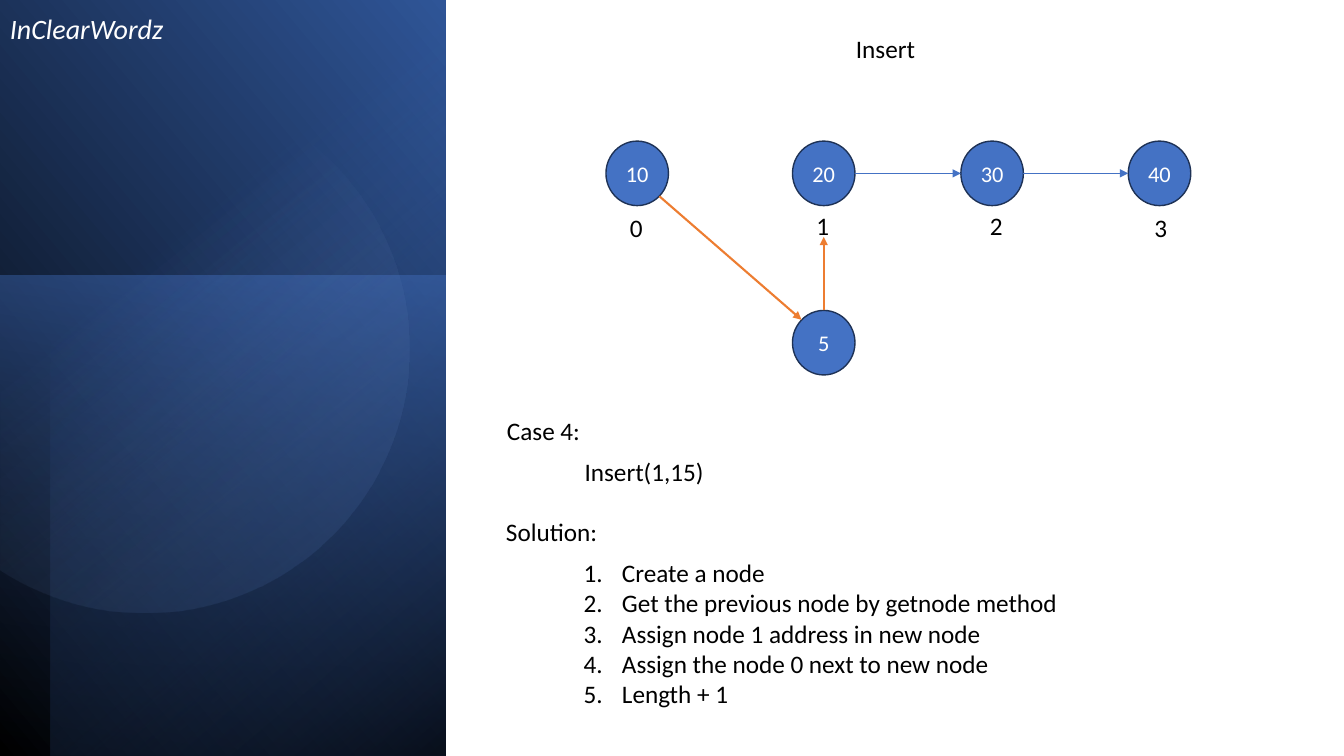
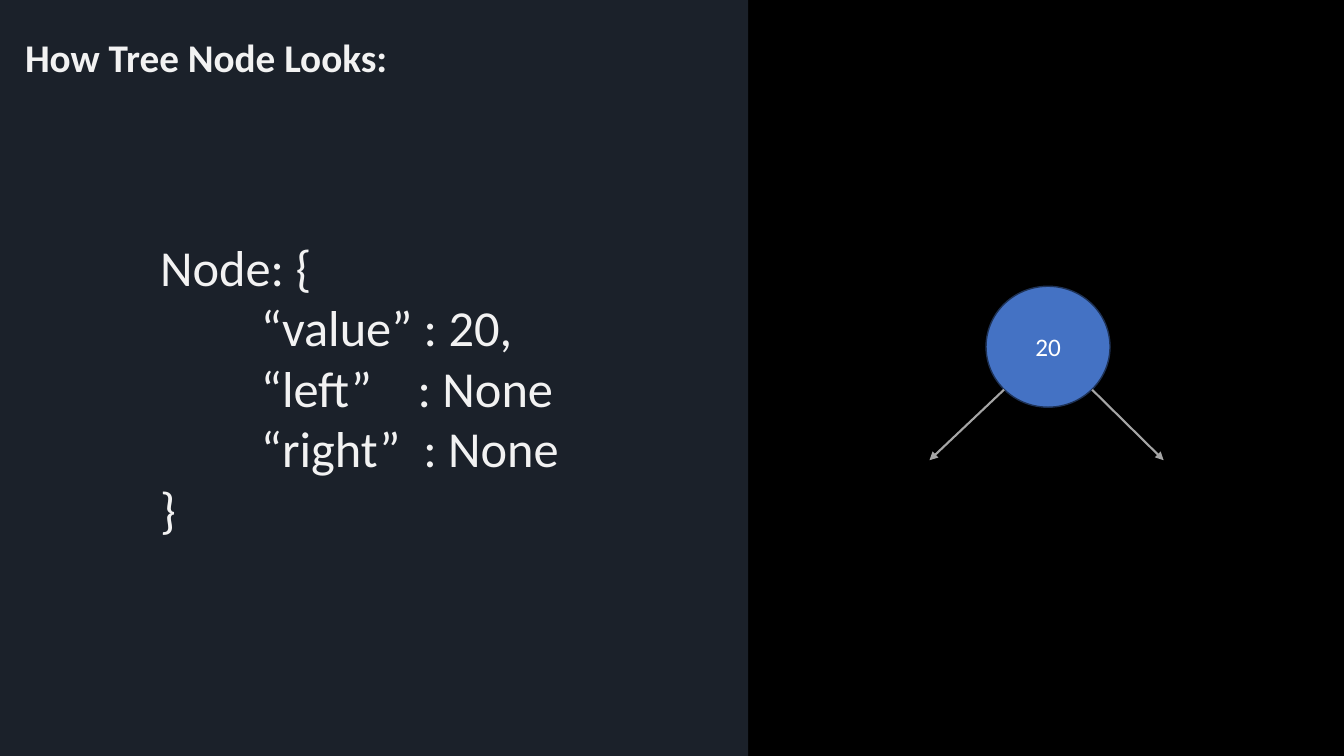
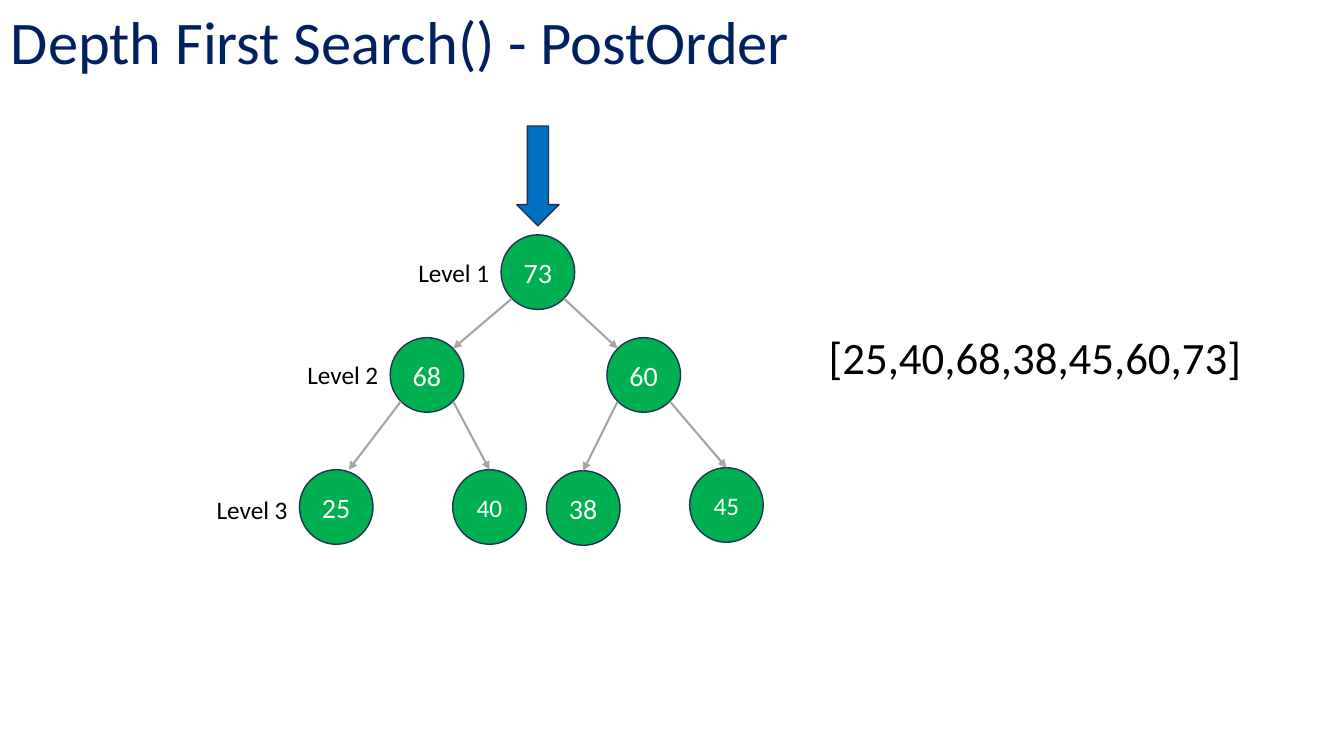
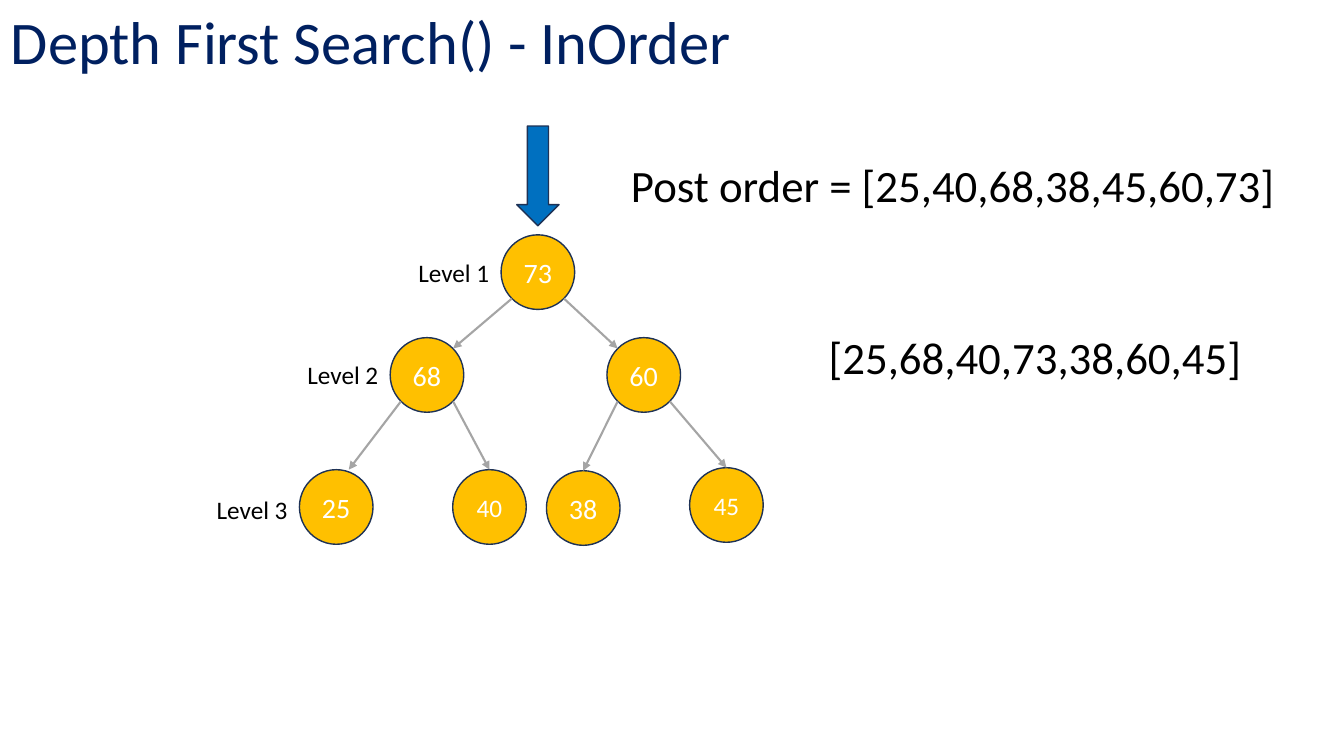
from math import acos, cos, radians, sin

from pptx import Presentation
from pptx.dml.color import RGBColor
from pptx.enum.shapes import MSO_CONNECTOR, MSO_SHAPE
from pptx.enum.text import MSO_ANCHOR, PP_ALIGN
from pptx.oxml.ns import qn
from pptx.util import Inches, Pt
from lxml.etree import SubElement

RECT, ELLIPSE, DOWN_ARROW = MSO_SHAPE.RECTANGLE, MSO_SHAPE.OVAL, MSO_SHAPE.DOWN_ARROW
STRAIGHT = MSO_CONNECTOR.STRAIGHT
TOP, MIDDLE, BOTTOM = MSO_ANCHOR.TOP, MSO_ANCHOR.MIDDLE, MSO_ANCHOR.BOTTOM
CENTER = PP_ALIGN.CENTER

FONT = "Calibri"
WIDTH, HEIGHT = 13.33, 7.5
BLACK, WHITE, OFF_WHITE = "000000", "FFFFFF", "F2F2F2"
BLUE, DEEP_BLUE, OUTLINE = "4472C4", "2F5597", "1E3256"
NAVY, ARROW_BLUE, SLATE = "002060", "0070C0", "44546A"
ORANGE, GRAY, GREEN, AMBER = "ED7D31", "A5A5A5", "00B050", "FFC000"

# Points on an ellipse, as shares of its half width and half height
ON_TOP, ON_LEFT, ON_RIGHT = (0, -1), (-1, 0), (1, 0)
UPPER_LEFT, UPPER_RIGHT = (-0.71, -0.71), (0.71, -0.71)
LOWER_LEFT, LOWER_RIGHT = (-0.71, 0.71), (0.71, 0.71)


def rgb(hex_color):
    return RGBColor.from_string(hex_color)


def set_alphas(shape, percents):
    """Give the fill colours of a shape their opacities, in order."""
    colors = shape._element.spPr.iter(qn("a:srgbClr"))
    for color, percent in zip(colors, percents):
        SubElement(color, qn("a:alpha")).set("val", str(percent * 1000))


def fill_gradient(shape, stops, clockwise):
    """Fill with two (position, colour, opacity) stops and no outline."""
    shape.shadow.inherit = False
    shape.fill.gradient()
    shape.fill.gradient_angle = 360 - clockwise
    for stop, (position, color, _) in zip(shape.fill.gradient_stops, stops):
        stop.position = position / 100
        stop.color.rgb = rgb(color)
    set_alphas(shape, [opacity for _, _, opacity in stops])
    shape.line.fill.background()


def add_solid(slide, kind, box, color, outline=None):
    shape = slide.shapes.add_shape(kind, *map(Inches, box))
    shape.shadow.inherit = False
    shape.fill.solid()
    shape.fill.fore_color.rgb = rgb(color)
    if outline:
        shape.line.color.rgb = rgb(outline)
        shape.line.width = Pt(1)
    else:
        shape.line.fill.background()
    return shape


def style_run(paragraph, text, size, color, bold=False, italic=False):
    run = paragraph.add_run()
    run.text = text
    font = run.font
    font.name, font.size, font.bold, font.italic = FONT, Pt(size), bold, italic
    font.color.rgb = rgb(color)


def add_text(slide, box, lines, size=18, color=BLACK, anchor=TOP,
             spacing=None, numbered=False, tab=None, **emphasis):
    frame = slide.shapes.add_textbox(*map(Inches, box)).text_frame
    frame.word_wrap = True
    frame.vertical_anchor = anchor
    for index, line in enumerate(lines):
        paragraph = frame.add_paragraph() if index else frame.paragraphs[0]
        properties = paragraph._p.get_or_add_pPr()
        if numbered:
            properties.set("marL", str(Inches(0.38)))
            properties.set("indent", str(Inches(-0.38)))
            SubElement(properties, qn("a:buFont")).set("typeface", "+mj-lt")
            SubElement(properties, qn("a:buAutoNum")).set("type", "arabicPeriod")
        if tab:
            stop = SubElement(SubElement(properties, qn("a:tabLst")), qn("a:tab"))
            stop.set("pos", str(Inches(tab)))
            stop.set("algn", "l")
        if spacing:
            paragraph.line_spacing = spacing
        style_run(paragraph, line, size, color, **emphasis)


def add_node(slide, box, value, size, color=BLUE):
    node = add_solid(slide, ELLIPSE, box, color, OUTLINE)
    node.text_frame.vertical_anchor = MIDDLE
    paragraph = node.text_frame.paragraphs[0]
    paragraph.alignment = CENTER
    style_run(paragraph, value, size, WHITE)


def site(box, share):
    """Point of a box, given as shares of its half width and half height."""
    left, top, width, height = box
    return left + width / 2 * (1 + share[0]), top + height / 2 * (1 + share[1])


def add_arrow(slide, start, end, color=GRAY, width=1.5):
    arrow = slide.shapes.add_connector(STRAIGHT, *map(Inches, (*start, *end)))
    arrow.line.color.rgb = rgb(color)
    arrow.line.width = Pt(width)
    SubElement(arrow.line._get_or_add_ln(), qn("a:tailEnd")).set("type", "triangle")
    SubElement(arrow._element.spPr, qn("a:effectLst"))


def add_turned_tile(slide, box, rotation, flipped, stops, clockwise):
    """Gradient rectangle on a quarter turn that covers the box as seen."""
    left, top, width, height = box
    shift = (width - height) / 2
    tile = slide.shapes.add_shape(
        RECT, *map(Inches, (left + shift, top - shift, height, width)))
    tile.rotation = rotation
    if flipped:
        tile._element.spPr.xfrm.set("flipH", "1")
    fill_gradient(tile, stops, clockwise)


def add_cut_disc(slide, center, radius, edge, turn, pivot, stops, clockwise):
    """Disc cut off at the vertical edge, drawn level and then turned."""
    reach = radians(180) - acos((center[0] - edge) / radius)
    steps = 96
    back = radians(-turn)
    points = []
    for step in range(steps + 1):
        around = reach * (2 * step / steps - 1)
        x = center[0] + radius * cos(around) - pivot[0]
        y = center[1] + radius * sin(around) - pivot[1]
        points.append((Inches(pivot[0] + x * cos(back) - y * sin(back)),
                       Inches(pivot[1] + x * sin(back) + y * cos(back))))
    builder = slide.shapes.build_freeform(*points[0])
    builder.add_line_segments(points[1:], close=True)
    disc = builder.convert_to_shape()
    disc.rotation = turn
    fill_gradient(disc, stops, clockwise)


def add_side_panel(slide, box):
    left, top, width, height = box
    add_turned_tile(slide, box, 90, True,
                    [(0, BLACK, 100), (100, DEEP_BLUE, 100)], 310)
    add_turned_tile(slide, (left, top + 2.73, width, height - 2.73), 270, False,
                    [(0, BLUE, 50), (100, "203864", 0)], 190)
    add_turned_tile(slide, (left + 0.5, top, width - 0.5, height), 270, True,
                    [(0, BLACK, 59), (69, BLUE, 0)], 220)
    add_cut_disc(slide, (left + 1.43, top + 3.47), 2.62, left, 101.6,
                 (left + 1.81, top + 3.54),
                 [(39, "8FAADC", 0), (100, DEEP_BLUE, 26)], 310)
    add_text(slide, (left, top - 0.03, 1.88, 0.53), ["InClearWordz"], 20, WHITE,
             BOTTOM, 0.9, italic=True)


def add_linked_list(slide, left, top):
    width, height = 0.62, 0.64
    boxes = [(left + x, top, width, height) for x in (0, 1.85, 3.52, 5.18)]
    labels = [(0.14, 0.66), (1.99, 0.64), (3.71, 0.64), (5.34, 0.66)]
    for index, (box, (x, y)) in enumerate(zip(boxes, labels)):
        add_node(slide, box, str(10 * (index + 1)), 16)
        add_text(slide, (left + x, top + y, 0.33, 0.4), [str(index)])
    for box, following in zip(boxes[1:], boxes[2:]):
        add_arrow(slide, site(box, ON_RIGHT), site(following, ON_LEFT), BLUE, 0.5)

    inserted = (boxes[1][0], top + 1.68, width, height)
    add_node(slide, inserted, "5", 16)
    add_arrow(slide, site(boxes[0], LOWER_RIGHT), site(inserted, UPPER_LEFT), ORANGE)
    x, y = site(inserted, ON_TOP)
    add_arrow(slide, (x, y), (x, y - 0.73), ORANGE)


def add_insert_case(slide, left, top):
    add_text(slide, (left, top, 0.94, 0.4), ["Case 4:"])
    add_text(slide, (left + 0.77, top + 0.41, 1.4, 0.4), ["Insert(1,15)"])
    add_text(slide, (left - 0.01, top + 1, 1.12, 0.4), ["Solution:"])
    add_text(slide, (left + 0.76, top + 1.41, 4.95, 1.62), [
        "Create a node",
        "Get the previous node by getnode method",
        "Assign node 1 address in new node",
        "Assign the node 0 next to new node",
        "Length + 1",
    ], numbered=True)


def build_insert_slide(slide):
    add_side_panel(slide, (0, 0, 4.42, HEIGHT))
    add_text(slide, (8.39, 0.28, 0.79, 0.4), ["Insert"])
    add_linked_list(slide, 6.01, 1.4)
    add_insert_case(slide, 4.93, 4.07)


def build_tree_node_slide(slide):
    add_solid(slide, RECT, (0, 0, WIDTH, HEIGHT), BLACK)
    set_alphas(add_solid(slide, RECT, (0, 0, 7.42, HEIGHT), SLATE), [40])
    add_text(slide, (0.15, 0.28, 3.96, 0.57), ["How Tree Node Looks:"], 28,
             OFF_WHITE, bold=True)
    add_text(slide, (1.49, 2.29, 4.24, 3.1), [
        "Node: {",
        "\t“value” : 20,",
        "\t“left”    : None",
        "\t“right”  : None",
        "}",
    ], 36, OFF_WHITE, tab=1)
    node = (9.78, 2.84, 1.23, 1.2)
    add_node(slide, node, "20", 18)
    for corner, run in ((LOWER_LEFT, -0.74), (LOWER_RIGHT, 0.71)):
        x, y = site(node, corner)
        add_arrow(slide, (x, y), (x + run, y + 0.7))


def add_tree(slide, left, top, color):
    """Three-level tree under a pointer to its root."""
    # value: (x, y, text size)
    nodes = {
        "73": (2.92, 1.08, 20),
        "68": (1.82, 2.1, 20), "60": (3.97, 2.1, 20),
        "25": (0.92, 3.41, 20), "40": (2.44, 3.41, 18),
        "38": (3.37, 3.42, 20), "45": (4.79, 3.39, 18),
    }
    # parent, side it leaves, child, point it meets
    branches = [
        ("73", LOWER_LEFT, "68", UPPER_RIGHT), ("73", LOWER_RIGHT, "60", UPPER_LEFT),
        ("68", LOWER_LEFT, "25", (0.34, -1)), ("68", LOWER_RIGHT, "40", ON_TOP),
        ("60", LOWER_LEFT, "38", ON_TOP), ("60", LOWER_RIGHT, "45", ON_TOP),
    ]
    # first node of each level and the drop of its label
    levels = [("73", 0.17), ("68", 0.17), ("25", 0.19)]
    boxes = {}
    for value, (x, y, size) in nodes.items():
        boxes[value] = (left + x, top + y, 0.73, 0.74)
        add_node(slide, boxes[value], value, size, color)
    for parent, leaving, child, meeting in branches:
        add_arrow(slide, site(boxes[parent], leaving), site(boxes[child], meeting))
    for level, (first, drop) in enumerate(levels, start=1):
        x, y = boxes[first][:2]
        add_text(slide, (x - 0.92, y + drop, 0.92, 0.4), [f"Level {level}"])
    root_x, _ = site(boxes["73"], ON_TOP)
    add_solid(slide, DOWN_ARROW, (root_x - 0.21, top, 0.42, 0.99), ARROW_BLUE, OUTLINE)


def build_search_slide(slide, order, color, visited):
    add_text(slide, (0.01, 0.05, 8.91, 0.77), [f"Depth First Search() - {order}"],
             43.2, NAVY, BOTTOM, 0.9)
    add_tree(slide, 2.05, 1.25, color)
    add_text(slide, (8.12, 3.22, 4.34, 0.64), [visited], 32)


def main():
    deck = Presentation()
    deck.slide_width, deck.slide_height = Inches(WIDTH), Inches(HEIGHT)
    blank = deck.slide_layouts[6]
    insert, tree_node, post_order, in_order = (
        deck.slides.add_slide(blank) for _ in range(4))

    post_visited = "[25,40,68,38,45,60,73]"
    build_insert_slide(insert)
    build_tree_node_slide(tree_node)
    build_search_slide(post_order, "PostOrder", GREEN, post_visited)
    build_search_slide(in_order, "InOrder", AMBER, "[25,68,40,73,38,60,45]")
    add_text(in_order, (6.16, 1.52, 6.65, 0.64), [f"Post order = {post_visited}"], 32)
    deck.save("out.pptx")


if __name__ == "__main__":
    main()
